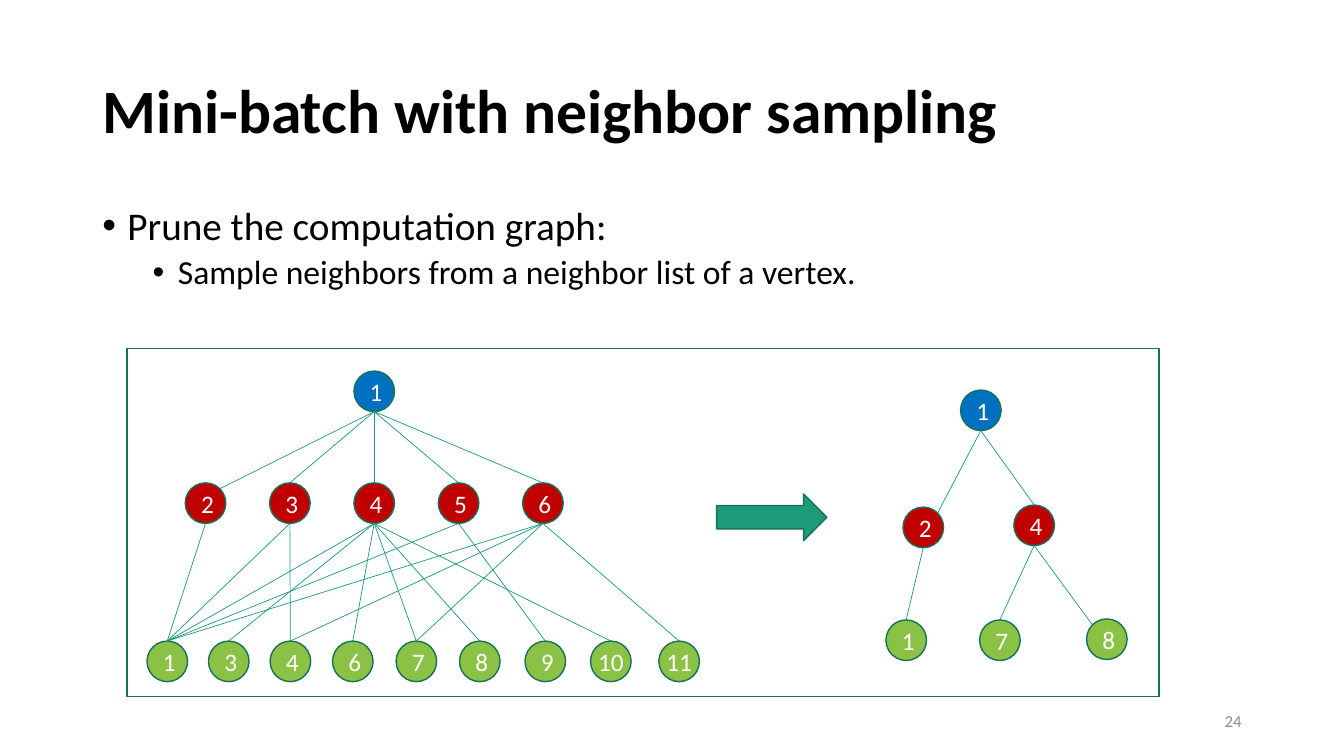
from dataclasses import dataclass
from math import sqrt

from lxml import etree
from pptx import Presentation
from pptx.dml.color import RGBColor
from pptx.enum.shapes import MSO_CONNECTOR, MSO_SHAPE
from pptx.enum.text import MSO_ANCHOR, PP_ALIGN
from pptx.oxml.ns import qn
from pptx.util import Pt

STRAIGHT = MSO_CONNECTOR.STRAIGHT
RECTANGLE, OVAL, ARROW = MSO_SHAPE.RECTANGLE, MSO_SHAPE.OVAL, MSO_SHAPE.RIGHT_ARROW
LEFT, CENTER, RIGHT = PP_ALIGN.LEFT, PP_ALIGN.CENTER, PP_ALIGN.RIGHT
TOP, MIDDLE = MSO_ANCHOR.TOP, MSO_ANCHOR.MIDDLE
TOP_SITE = 0


@dataclass(frozen=True)
class Theme:
    font: str = "Calibri"
    text: str = "000000"
    light: str = "FFFFFF"
    muted: str = "8C8C8C"
    accent: str = "1D9A78"
    outline: str = "157259"
    target: str = "0070C0"
    first_hop: str = "C00000"
    second_hop: str = "8BC145"
    title_size: float = 44
    body_size: float = 28
    detail_size: float = 24
    node_size: float = 18
    footer_size: float = 12
    outline_width: float = 1
    edge_width: float = 0.5


THEME = Theme()
NODE_SIZE = 29
HOP_COLORS = (THEME.target, THEME.first_hop, THEME.second_hop)

# Each hop maps a vertex to its centre x and top y inside the panel.
# Edges list the children of each parent, hop by hop.
# Corners name the children reached at the upper left (-1) or upper right (1).
FULL_GRAPH = {
    "hops": (
        {1: (176.6, 15.9)},
        {vertex: (56.1 + 60.25 * i, 95.8) for i, vertex in enumerate(range(2, 7))},
        {vertex: (x, 208.8) for vertex, x in zip(
            (1, 3, 4, 6, 7, 8, 9, 10, 11),
            (28.8, 72.7, 116.7, 161.3, 206.7, 252, 298.8, 345.6, 394.4))},
    ),
    "edges": (
        {1: (2, 3, 4, 5, 6)},
        {2: (1,), 3: (1, 4), 4: (1, 3, 6, 7, 8, 10), 5: (1, 9), 6: (1, 4, 7, 11)},
    ),
    "corners": {(1, 2): 1},
}
SAMPLED_GRAPH = {
    "hops": (
        {1: (609.9, 29.5)},
        {2: (568.8, 113.1), 4: (648, 111.6)},
        {1: (556.6, 193.7), 7: (623.5, 193.7), 8: (699.9, 193)},
    ),
    "edges": ({1: (2, 4)}, {2: (1,), 4: (7, 8)}),
    "corners": {(1, 2): 1, (2, 8): -1},
}


def color(code):
    return RGBColor.from_string(code)


def write(paragraph, text, *, size, ink=THEME.text, bold=False, align=LEFT,
          spacing=1.0, before=0, bullet_indent=None):
    if bullet_indent is not None:
        properties = paragraph._p.get_or_add_pPr()
        properties.set("marL", str(Pt(bullet_indent)))
        properties.set("indent", str(Pt(-18)))
        etree.SubElement(properties, qn("a:buFont")).set("typeface", "Arial")
        etree.SubElement(properties, qn("a:buChar")).set("char", "•")
    paragraph.alignment = align
    paragraph.line_spacing = spacing
    paragraph.space_before = Pt(before)
    run = paragraph.add_run()
    run.text = text
    run.font.name = THEME.font
    run.font.size = Pt(size)
    run.font.bold = bold
    run.font.color.rgb = color(ink)


def add_text_frame(slide, box, anchor):
    frame = slide.shapes.add_textbox(*map(Pt, box)).text_frame
    frame.word_wrap = True
    frame.vertical_anchor = anchor
    return frame


def add_outlined(shapes, preset, box, fill):
    shape = shapes.add_shape(preset, *map(Pt, box))
    shape.shadow.inherit = False
    shape.fill.solid()
    shape.fill.fore_color.rgb = color(fill)
    shape.line.color.rgb = color(THEME.outline)
    shape.line.width = Pt(THEME.outline_width)
    return shape


def add_vertex(shapes, label, x, y, fill):
    vertex = add_outlined(shapes, OVAL, (x - NODE_SIZE / 2, y, NODE_SIZE, NODE_SIZE), fill)
    frame = vertex.text_frame
    frame.word_wrap = len(label) == 1
    frame.vertical_anchor = MIDDLE
    write(frame.paragraphs[0], label, size=THEME.node_size, ink=THEME.light, align=CENTER)
    return vertex


def add_edge(shapes, parent, child, corner):
    """Run from the parent's bottom to the child's top or one of its upper corners."""
    radius = child.width / 2
    reach = radius / sqrt(2)
    end_x = child.left + radius + corner * reach
    end_y = child.top + (radius - reach if corner else 0)
    edge = shapes.add_connector(
        STRAIGHT, parent.left + parent.width // 2, parent.top + parent.height,
        int(end_x), int(end_y))
    if not corner:
        edge.end_connect(child, TOP_SITE)
    edge.line.color.rgb = color(THEME.accent)
    edge.line.width = Pt(THEME.edge_width)
    etree.SubElement(edge._element.spPr, qn("a:effectLst"))


def add_graph(slide, box, graph):
    left, top = box[:2]
    shapes = slide.shapes.add_group_shape().shapes
    hops = [
        {vertex: add_vertex(shapes, str(vertex), left + x, top + y, fill)
         for vertex, (x, y) in places.items()}
        for places, fill in zip(graph["hops"], HOP_COLORS)
    ]
    for hop, edges in enumerate(graph["edges"], start=1):
        for parent, children in edges.items():
            for child in children:
                corner = graph["corners"].get((hop, child), 0)
                add_edge(shapes, hops[hop - 1][parent], hops[hop][child], corner)


def add_pruning_panel(slide, box):
    left, top = box[:2]
    add_outlined(slide.shapes, RECTANGLE, box, THEME.light)
    add_outlined(slide.shapes, ARROW, (left + 421.2, top + 103.7, 78.8, 33.4), THEME.accent)
    for graph in (SAMPLED_GRAPH, FULL_GRAPH):
        add_graph(slide, box, graph)


def add_title(slide, box):
    frame = add_text_frame(slide, box, MIDDLE)
    write(frame.paragraphs[0], "Mini-batch with neighbor sampling",
          size=THEME.title_size, bold=True, spacing=0.9)


def add_body(slide, box):
    frame = add_text_frame(slide, box, TOP)
    write(frame.paragraphs[0], "Prune the computation graph:",
          size=THEME.body_size, spacing=0.9, bullet_indent=18)
    detail = frame.add_paragraph()
    detail.level = 1
    write(detail, "Sample neighbors from a neighbor list of a vertex.",
          size=THEME.detail_size, spacing=0.9, before=5, bullet_indent=54)


def add_page_number(slide, box):
    frame = add_text_frame(slide, box, MIDDLE)
    write(frame.paragraphs[0], "24", size=THEME.footer_size, ink=THEME.muted, align=RIGHT)


def main():
    deck = Presentation()
    deck.slide_width, deck.slide_height = Pt(960), Pt(540)
    slide = deck.slides.add_slide(deck.slide_layouts[6])
    add_title(slide, (66, 28.75, 828, 104.4))
    add_body(slide, (66, 143.75, 828, 96))
    add_pruning_panel(slide, (90.7, 249.1, 737.3, 248.4))
    add_page_number(slide, (678, 500.5, 216, 28.75))
    deck.save("out.pptx")


if __name__ == "__main__":
    main()
